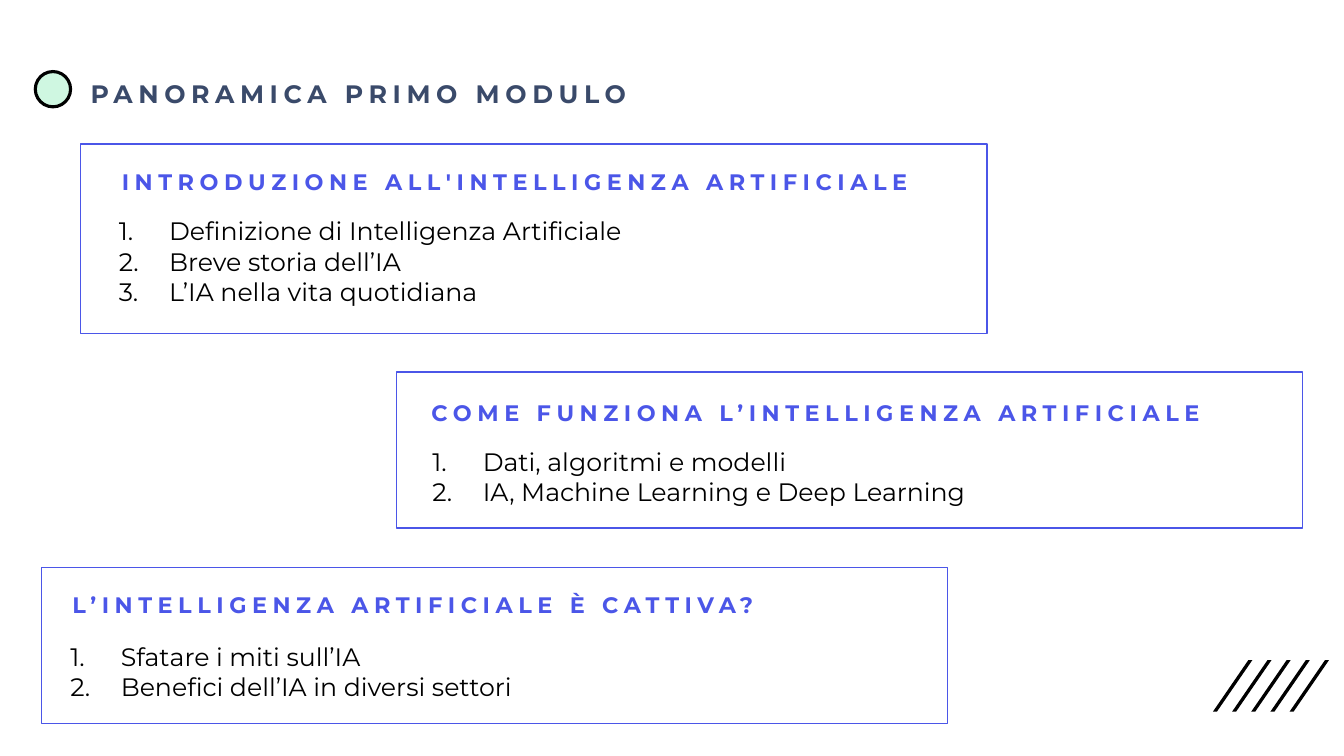
import pptx
import pptx.dml.color
import pptx.enum.shapes
import pptx.enum.text
import pptx.oxml.ns
import pptx.util
import lxml.etree

Inches = pptx.util.Inches
Pt = pptx.util.Pt
RGBColor = pptx.dml.color.RGBColor
SHAPE = pptx.enum.shapes.MSO_SHAPE

BLACK = RGBColor(0x00, 0x00, 0x00)
BLUE = RGBColor(0x4B, 0x56, 0xE8)
NAVY = RGBColor(0x3A, 0x4A, 0x6A)
MINT = RGBColor(0xCF, 0xF7, 0xE1)

TITLE = {"name": "Montserrat", "size": Pt(18), "bold": True}
HEADING = {"name": "Montserrat", "size": Pt(16), "bold": True}
ITEM = {"name": "Montserrat", "size": Pt(18), "bold": False}

MODULES = [
    ((0.8, 1.43, 1.88), (1.11, 1.65), (1.08, 2.09, 1.01),
     "INTRODUZIONE ALL'INTELLIGENZA ARTIFICIALE",
     ["Definizione di Intelligenza Artificiale", "Breve storia dell’IA",
      "L’IA nella vita quotidiana"]),
    ((3.93, 3.69, 1.55), (4.18, 3.94), (4.19, 4.38, 0.71),
     "COME FUNZIONA L’INTELLIGENZA ARTIFICIALE",
     ["Dati, algoritmi e modelli", "IA, Machine Learning e Deep Learning"]),
    ((0.41, 5.63, 1.55), (0.62, 5.85), (0.6, 6.31, 0.71),
     "L’INTELLIGENZA ARTIFICIALE È CATTIVA?",
     ["Sfatare i miti sull’IA", "Benefici dell’IA in diversi settori"]),
]


def add_heading(x, y, text, fmt, color):
    tf = s.shapes.add_textbox(Inches(x), Inches(y), Inches(8.82), Inches(0.42)).text_frame
    tf.word_wrap = True
    p = tf.paragraphs[0]
    p.line_spacing = 0.9
    r = add_run(p, text, fmt, color)
    r._r.get_or_add_rPr().set("spc", "400")


def add_run(p, text, fmt, color):
    r = p.add_run()
    r.text = text
    for key, value in fmt.items():
        setattr(r.font, key, value)
    r.font.color.rgb = color
    return r


prs = pptx.Presentation()
prs.slide_width = Inches(13.33)
prs.slide_height = Inches(7.5)
s = prs.slides.add_slide(prs.slide_layouts[6])

for i in range(5):
    x = 12.03 + 0.19 * i
    fb = s.shapes.build_freeform(Inches(x + 0.04), Inches(7.06))
    fb.add_line_segments([(Inches(x + dx), Inches(y)) for dx, y in
                          ((0, 7.06), (0.35, 6.55), (0.39, 6.55))], close=True)
    sp = fb.convert_to_shape()
    sp.shadow.inherit = False
    sp.fill.solid()
    sp.fill.fore_color.rgb = BLACK
    sp.line.fill.background()

sp = s.shapes.add_shape(SHAPE.OVAL, Inches(0.35), Inches(0.71), Inches(0.35), Inches(0.35))
sp.shadow.inherit = False
sp.fill.solid()
sp.fill.fore_color.rgb = MINT
sp.line.color.rgb = BLACK
sp.line.width = Pt(2.25)

add_heading(0.8, 0.76, "PANORAMICA PRIMO MODULO", TITLE, NAVY)

for (x, y, h), heading_at, (list_x, list_y, list_h), heading, items in MODULES:
    sp = s.shapes.add_shape(SHAPE.RECTANGLE, Inches(x), Inches(y), Inches(8.99), Inches(h))
    sp.shadow.inherit = False
    sp.fill.background()
    sp.line.color.rgb = BLUE
    sp.line.width = Pt(1)

    add_heading(*heading_at, heading, HEADING, BLUE)

    tf = s.shapes.add_textbox(Inches(list_x), Inches(list_y),
                              Inches(12.13), Inches(list_h)).text_frame
    tf.word_wrap = True
    tf.auto_size = pptx.enum.text.MSO_AUTO_SIZE.SHAPE_TO_FIT_TEXT
    for i, item in enumerate(items):
        p = tf.add_paragraph() if i else tf.paragraphs[0]
        pPr = p._p.get_or_add_pPr()
        pPr.set("marL", str(Inches(0.5)))
        pPr.set("indent", str(Inches(-0.5)))
        bullet = lxml.etree.SubElement(pPr, pptx.oxml.ns.qn("a:buAutoNum"))
        bullet.set("type", "arabicPeriod")
        add_run(p, item, ITEM, BLACK)

prs.save("out.pptx")
